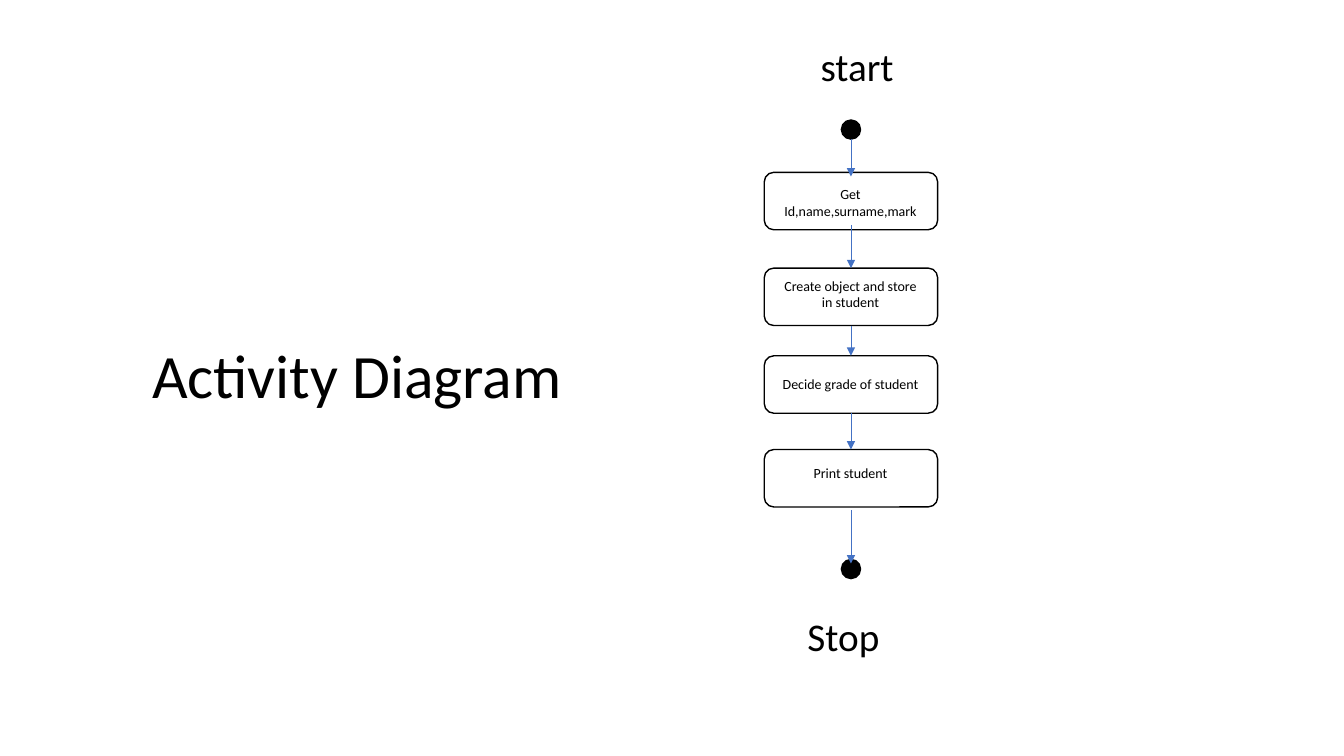
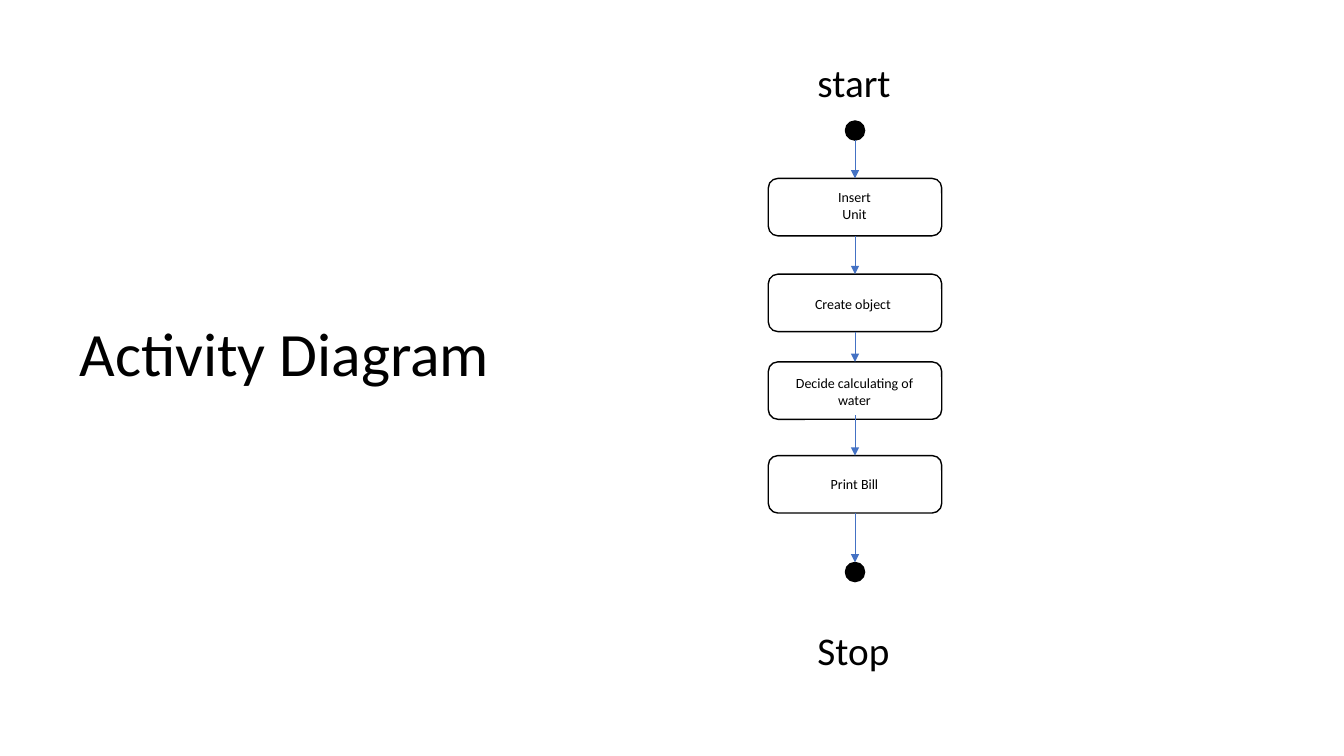
import pptx
import pptx.dml.color
import pptx.enum.shapes
import pptx.enum.text
import pptx.oxml.ns
import pptx.util
from lxml import etree

Inches = pptx.util.Inches
SHAPE = pptx.enum.shapes.MSO_SHAPE
ALIGN = pptx.enum.text.PP_ALIGN
ANCHOR = pptx.enum.text.MSO_ANCHOR
FONT, BLACK, BLUE = "Calibri", "000000", "4472C4"
STEP_W, STEP_H, DOT = 1.72, 0.57, 0.19
STEP_TOPS = [0, 0.95, 1.82, 2.75]


def rgb(value):
    """Return the colour for a hex string."""
    return pptx.dml.color.RGBColor.from_string(value)


def add_text(s, box, text, size, align=ALIGN.LEFT, anchor=ANCHOR.TOP, spacing=1.0):
    """Write the lines of a text into a wrapped text box."""
    tf = s.shapes.add_textbox(*map(Inches, box)).text_frame
    tf.word_wrap = True
    tf.vertical_anchor = anchor
    tf.text = text
    for p in tf.paragraphs:
        p.alignment = align
        p.line_spacing = spacing
        p.font.name = FONT
        p.font.size = pptx.util.Pt(size)
        p.font.color.rgb = rgb(BLACK)


def add_outline(s, kind, box, fill=None):
    """Add a black-outlined shape, filled on request."""
    sp = s.shapes.add_shape(kind, *map(Inches, box))
    sp.shadow.inherit = False
    sp.line.color.rgb = rgb(BLACK)
    sp.line.width = pptx.util.Pt(1)
    if fill:
        sp.fill.solid()
        sp.fill.fore_color.rgb = rgb(fill)
    else:
        sp.fill.background()


def add_arrow(s, x, y1, y2):
    """Draw a thin arrow straight down."""
    line = s.shapes.add_connector(
        pptx.enum.shapes.MSO_CONNECTOR.STRAIGHT, *map(Inches, (x, y1, x, y2)))
    line.line.color.rgb = rgb(BLUE)
    line.line.width = pptx.util.Pt(0.5)
    qn = pptx.oxml.ns.qn
    etree.SubElement(line.line._get_or_add_ln(), qn("a:tailEnd"), type="triangle")
    etree.SubElement(line._element.spPr, qn("a:effectLst"))


def add_flow(s, left, top, dots, steps, arrows):
    """Draw the flow, measured from the corner of its first step."""
    center = left + STEP_W / 2
    for y in dots:
        add_outline(s, SHAPE.OVAL, (center - DOT / 2, top + y, DOT, DOT), BLACK)
    for y, (text, offset, height) in zip(STEP_TOPS, steps):
        add_outline(s, SHAPE.ROUNDED_RECTANGLE, (left, top + y, STEP_W, STEP_H))
        add_text(s, (left + 0.07, top + y + offset, 1.57, height), text, 10, ALIGN.CENTER)
    for y1, y2 in arrows:
        add_arrow(s, center, top + y1, top + y2)


def add_activity_slide(prs, title_at, captions, flow):
    """Add a slide with a title on the left and a flow on the right."""
    s = prs.slides.add_slide(prs.slide_layouts[6])
    add_text(s, (*title_at, 4.4, 1.45), "Activity Diagram", 44,
             anchor=ANCHOR.MIDDLE, spacing=0.9)
    add_flow(s, **flow)
    for text, box in captions.items():
        add_text(s, box, text, 28)


prs = pptx.Presentation()
prs.slide_width, prs.slide_height = Inches(13.33), Inches(7.5)

add_activity_slide(
    prs, (1.41, 3.03),
    {"start": (8.04, 0.37, 1.86, 0.57), "Stop": (7.91, 6.03, 1.32, 0.57)},
    dict(left=7.58, top=1.71, dots=[-0.52, 3.84],
         steps=[("Get Id,name,surname,mark", 0.08, 0.44),
                ("Create object and store in student", 0.04, 0.44),
                ("Decide grade of student", 0.15, 0.27),
                ("Print student", 0.1, 0.27)],
         arrows=[(-0.33, 0.04), (0.52, 0.95), (1.52, 1.82), (2.39, 2.75), (3.35, 3.88)]))

add_activity_slide(
    prs, (0.69, 2.81),
    {"start": (8.01, 0.53, 1.26, 0.57), "Stop": (8.01, 6.16, 1.26, 0.57)},
    dict(left=7.62, top=1.77, dots=[-0.57, 3.81],
         steps=[("Insert\nUnit", 0.05, 0.44),
                ("Create object ", 0.16, 0.27),
                ("Decide calculating of water", 0.08, 0.44),
                ("Print Bill", 0.15, 0.27)],
         arrows=[(-0.38, 0), (0.57, 0.95), (1.52, 1.82), (2.35, 2.75), (3.32, 3.81)]))

prs.save("out.pptx")
